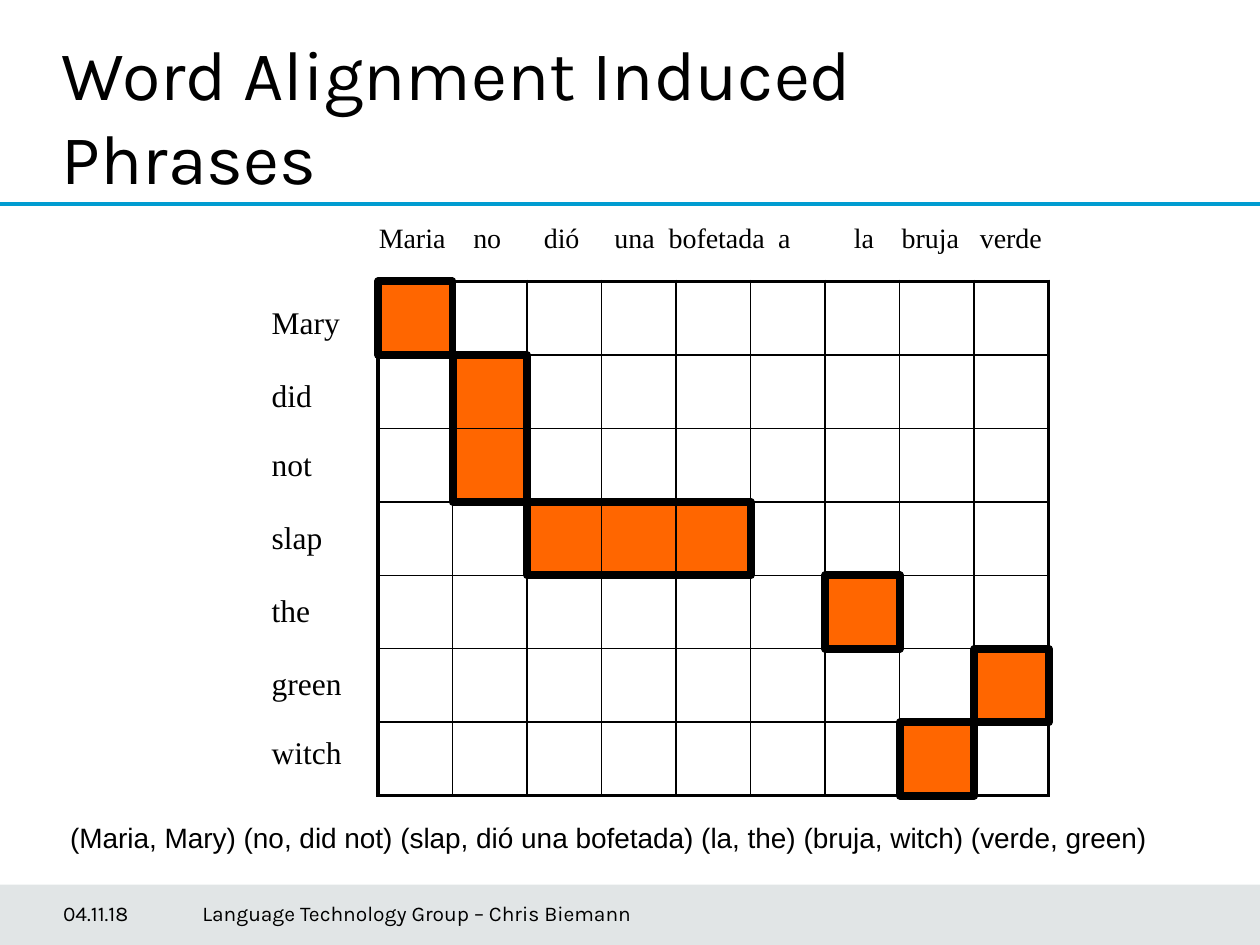
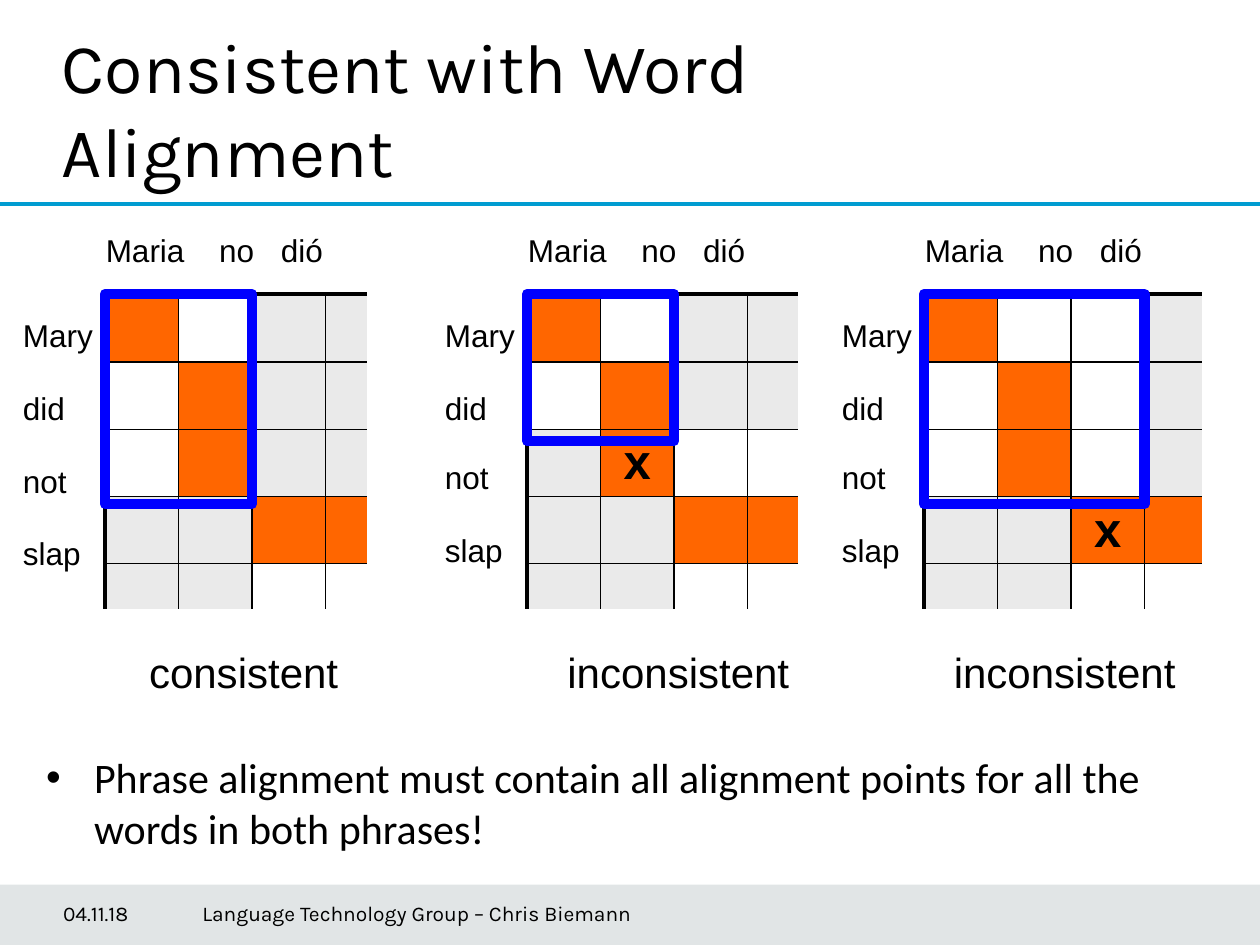
"""Build two slides on word alignment grids and the phrases they induce."""
from dataclasses import dataclass

from lxml import etree
from pptx import Presentation
from pptx.dml.color import RGBColor
from pptx.enum.shapes import MSO_CONNECTOR, MSO_SHAPE
from pptx.enum.text import MSO_ANCHOR, MSO_AUTO_SIZE, PP_ALIGN
from pptx.oxml.ns import qn
from pptx.util import Inches, Length, Pt

LEFT, MID = PP_ALIGN.LEFT, PP_ALIGN.CENTER
TOP, CENTER = MSO_ANCHOR.TOP, MSO_ANCHOR.MIDDLE
RECT, STRAIGHT = MSO_SHAPE.RECTANGLE, MSO_CONNECTOR.STRAIGHT
NO_FIT = MSO_AUTO_SIZE.NONE

HEX = {"ink": "000000", "hit": "FF6600", "pale": "EAEAEA",
       "frame": "0000FF", "rule": "009CD1", "band": "3B515B"}
FILLS = {"#": "hit", "x": "hit", "-": "pale"}
WIDE, HIGH = 120, 90
THIN, THICK = 1, 2.25


@dataclass
class Box:
    """A place on the slide, in twelfths of an inch."""
    left: float
    top: float
    width: float
    height: float

    def place(self) -> tuple[Length, ...]:
        """Give the four lengths that python-pptx takes."""
        return tuple(unit(n) for n in (self.left, self.top, self.width, self.height))


@dataclass
class Font:
    """How a run looks."""
    name: str
    size: float
    bold: bool = False


@dataclass
class Grid:
    """An alignment grid; a pattern row has one sign per cell."""
    left: float
    top: float
    cols: list[float]
    rows: list[float]
    signs: list[str]
    closed: bool = True


@dataclass
class Case:
    """One of the phrase pairs tested against the alignment."""
    left: float
    last: float
    signs: list[str]
    frame: tuple[float, float]
    mid: float
    verdict: str
    gaps: list[float]


TITLE, BODY = Font("Karla", 40), Font("Calibri", 24)
FOOT, SERIF = Font("Karla", 12), Font("Times New Roman", 18)
HEAD, LABEL = Font("Times New Roman", 16), Font("Arial", 18)
PAIRS, RESULT, CROSS = Font("Arial", 16), Font("Arial", 24), Font("Arial", 28, True)

WORDS = ["Mary", "did", "not", "slap", "the", "green", "witch"]
SPANISH = ["Maria", "no", "dió", "una", "bofetada", "a", "la", "bruja", "verde"]
STOPS = [0.75, 1.31, 1.87, 2.3, 3.17, 3.77, 4.15, 4.77]
SIGNS = ["#        ", " #       ", " #       ", "  ###    ",
         "      #  ", "        #", "       # "]
COL, ROW = 7.1, 7
PHRASES = [(0, 0, 1, 1), (1, 1, 1, 2), (2, 3, 3, 1),
           (6, 4, 1, 1), (8, 5, 1, 1), (7, 6, 1, 1)]
CASES = [
    Case(10, 4, ["# --", " #--", " #--", "--##", "--  "],
         (14, 20), 23.2, "consistent", [20, 20, 20]),
    Case(50.2, 4.8, ["# --", " #--", "-x  ", "--##", "--  "],
         (14, 14), 64.6, "inconsistent", [20, 18, 20]),
    Case(88, 5.5, ["#  -", " # -", " # -", "--x#", "--  "],
         (21, 20), 101.4, "inconsistent", [20, 18, 20]),
]


def unit(count: float) -> Length:
    """Turn grid units into a length."""
    return Inches(count / 12)


def tint(key: str) -> RGBColor:
    """Look up a colour."""
    return RGBColor.from_string(HEX[key])


def write(para, text: str, font: Font) -> None:
    """Add one run to a paragraph."""
    run = para.add_run()
    run.text = text
    run.font.name, run.font.size, run.font.bold = font.name, Pt(font.size), font.bold
    run.font.color.rgb = tint("ink")


def fill_text(shape, lines: list[str], font: Font, gaps=(), align=LEFT,
              anchor=TOP, inset: float = 0.1, stops=()) -> None:
    """Fill a shape with lines, each set apart from the last by its gap."""
    frame = shape.text_frame
    frame.word_wrap, frame.auto_size = True, NO_FIT
    frame.vertical_anchor, frame.margin_left = anchor, Inches(inset)
    for num, line in enumerate(lines):
        para = frame.add_paragraph() if num else frame.paragraphs[0]
        if stops:
            tabs = etree.SubElement(para._p.get_or_add_pPr(), qn("a:tabLst"))
            for stop in stops:
                etree.SubElement(tabs, qn("a:tab"), pos=str(Inches(stop)), algn="l")
        para.alignment = align
        para.space_before = Pt(gaps[num - 1]) if num else Pt(0)
        write(para, line, font)


def add_text(slide, box: Box, lines: list[str], font: Font, **looks) -> None:
    """Add a text box."""
    fill_text(slide.shapes.add_textbox(*box.place()), lines, font, **looks)


def add_frame(slide, box: Box, key: str, width: float) -> None:
    """Add an unfilled box."""
    shape = slide.shapes.add_shape(RECT, *box.place())
    shape.shadow.inherit = False
    shape.fill.background()
    shape.line.color.rgb, shape.line.width = tint(key), Pt(width)


def set_edge(cell, order: int, side: str, width: float) -> None:
    """Draw one cell border, or clear it when the width is zero."""
    edge = etree.Element(qn(f"a:ln{side}"), w=str(Pt(width)))
    paint = etree.SubElement(edge, qn("a:solidFill" if width else "a:noFill"))
    if width:
        etree.SubElement(paint, qn("a:srgbClr"), val=HEX["ink"])
    cell._tc.get_or_add_tcPr().insert(order, edge)


def add_grid(slide, grid: Grid) -> None:
    """Add an alignment grid as a table."""
    wide, high = len(grid.cols), len(grid.rows)
    box = Box(grid.left, grid.top, sum(grid.cols), sum(grid.rows))
    table = slide.shapes.add_table(high, wide, *box.place()).table
    table.first_row = table.horz_banding = False
    for col, size in zip(table.columns, grid.cols):
        col.width = unit(size)
    for row, size in zip(table.rows, grid.rows):
        row.height = unit(size)
    end = THICK if grid.closed else 0
    for y, signs in enumerate(grid.signs):
        for x, sign in enumerate(signs):
            cell = table.cell(y, x)
            cell.margin_top = cell.margin_bottom = 0
            cell.vertical_anchor = CENTER
            if sign in FILLS:
                cell.fill.solid()
                cell.fill.fore_color.rgb = tint(FILLS[sign])
            else:
                cell.fill.background()
            para = cell.text_frame.paragraphs[0]
            if sign == "x":
                para.alignment = MID
                write(para, sign, CROSS)
            else:
                etree.SubElement(para._p, qn("a:endParaRPr"), sz="800")
            edges = {"L": THIN if x else THICK,
                     "R": THIN if x < wide - 1 else end,
                     "T": THIN if y else THICK,
                     "B": THIN if y < high - 1 else end}
            for order, (side, width) in enumerate(edges.items()):
                set_edge(cell, order, side, width)


def add_base(deck, layout: int, title: str, top: float):
    """Add a slide with its title, rule and footer band."""
    slide = deck.slides.add_slide(deck.slide_layouts[layout])
    head = slide.shapes.title
    head.left, head.top, head.width, head.height = Box(4.7, top, 90.2, 11).place()
    fill_text(head, [title], TITLE)
    band = slide.shapes.add_shape(RECT, *Box(0, 84.25, WIDE, HIGH - 84.25).place())
    band.shadow.inherit = False
    band.line.fill.background()
    band.fill.solid()
    band.fill.fore_color.rgb = tint("band")
    color = band._element.spPr.find(".//" + qn("a:srgbClr"))
    etree.SubElement(color, qn("a:alpha"), val="15000")
    rule = slide.shapes.add_connector(
        STRAIGHT, unit(0), unit(19.45), unit(WIDE), unit(19.45))
    rule.line.color.rgb, rule.line.width = tint("rule"), Pt(2)
    etree.SubElement(rule._element.spPr, qn("a:effectLst"))
    add_text(slide, Box(6, 84.6, 11.9, 4.8), ["04.11.18"], FOOT,
             anchor=CENTER, inset=0)
    add_text(slide, Box(18.8, 84.6, 59.4, 4.8),
             ["Language Technology Group – Chris Biemann"], FOOT,
             anchor=CENTER, inset=0.04)
    return slide


def draw_phrases(deck) -> None:
    """Build the slide on induced phrases."""
    slide = add_base(deck, 5, "Word Alignment Induced Phrases", 2.3)
    left, top = 36, 26.8
    add_grid(slide, Grid(left, top, [COL] * 9, [ROW] * 7, SIGNS))
    add_text(slide, Box(24.7, 28.3, 10, 44.9), WORDS, SERIF,
             gaps=[20, 18, 20, 20, 20, 18])
    add_text(slide, Box(34.9, 20.4, 66, 4.4), ["\t".join(SPANISH)], HEAD, stops=STOPS)
    for x, y, wide, high in PHRASES:
        box = Box(left + x * COL, top + y * ROW, wide * COL, high * ROW)
        add_frame(slide, box, "ink", 4.5)
    add_text(slide, Box(5.5, 77.6, 108, 4.4),
             ["(Maria, Mary) (no, did not) (slap, dió una bofetada) "
              "(la, the) (bruja, witch) (verde, green)"], PAIRS)


def draw_cases(deck) -> None:
    """Build the slide on consistent phrase pairs."""
    slide = add_base(deck, 1, "Consistent with Word Alignment", 1.6)
    body = slide.placeholders[1]
    body.left, body.top, body.width, body.height = Box(3.2, 71, 113.4, 12.7).place()
    props = body.text_frame.paragraphs[0]._p.get_or_add_pPr()
    props.set("marL", str(Inches(0.38)))
    props.set("indent", str(Inches(-0.38)))
    etree.SubElement(props, qn("a:buFont"), typeface="Arial")
    etree.SubElement(props, qn("a:buChar"), char="•")
    fill_text(body, ["Phrase alignment must contain all alignment points "
                     "for all the words in both phrases!"], BODY)
    top = 28
    for case in CASES:
        add_grid(slide, Grid(case.left, top, [7, 7, 7, case.last],
                             [6.5, 6.4, 6.4, 6.4, 4.3], case.signs, False))
        add_text(slide, Box(case.left - 9, 29.5, 9.1, 25.4), WORDS[:4], LABEL,
                 gaps=case.gaps)
        add_text(slide, Box(case.left - 1.1, 21.4, 23.3, 4.8),
                 ["\t".join(SPANISH[:3])], LABEL, stops=[0.9, 1.39])
        add_text(slide, Box(case.mid - 12, 61, 24, 6), [case.verdict], RESULT,
                 align=MID)
        add_frame(slide, Box(case.left, top, *case.frame), "frame", 6)


def main() -> None:
    """Build and save the deck."""
    deck = Presentation()
    deck.slide_width, deck.slide_height = unit(WIDE), unit(HIGH)
    draw_phrases(deck)
    draw_cases(deck)
    deck.save("out.pptx")


if __name__ == "__main__":
    main()
